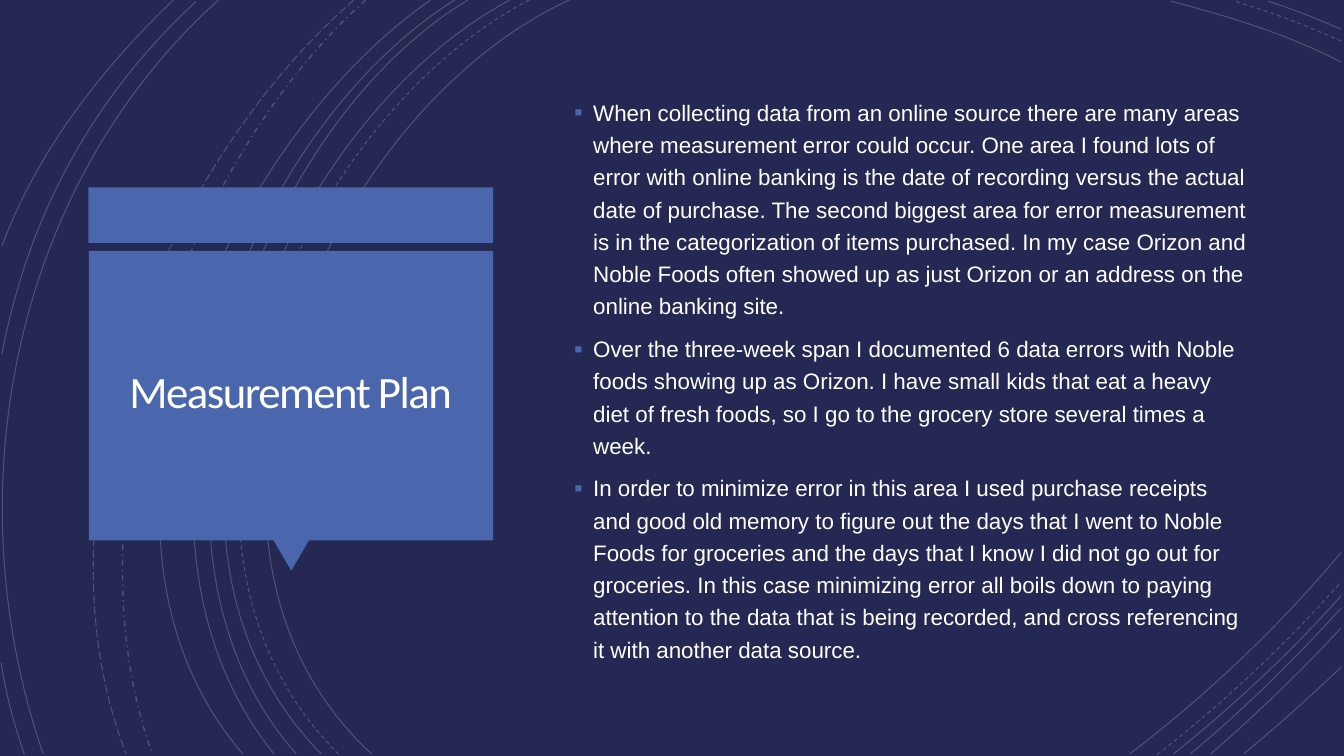
from lxml.etree import SubElement
from pptx import Presentation
from pptx.dml.color import RGBColor
from pptx.enum.dml import MSO_LINE_DASH_STYLE as Dash
from pptx.enum.shapes import MSO_SHAPE as Shape
from pptx.enum.text import MSO_ANCHOR as Anchor, PP_ALIGN as Align
from pptx.oxml.ns import qn
from pptx.util import Cm, Pt

NAVY = RGBColor(0x24, 0x28, 0x52)
BLUE = RGBColor(0x4A, 0x66, 0xAC)
WHITE = RGBColor(0xFF, 0xFF, 0xFF)
TITLE_WHITE = RGBColor(0xFF, 0xFE, 0xFF)

SOLID_ARCS = [
    [(14.35, 0), (8, 2.92), (3.63, 13.72), (9.37, 19)],
    [(33.8, 1.57), (32.46, 0.86), (30.94, 0.41), (29.51, 0.03)],
    [(28.47, 19), (30.4, 17.53), (32.23, 15.8), (33.8, 13.92)],
    [(12.85, 0), (6.86, 3.23), (2.79, 13.64), (8.1, 19)],
    [(33.8, 0.74), (33.2, 0.48), (32.59, 0.23), (31.95, 0.03)],
    [(29.57, 19), (31.06, 17.81), (32.51, 16.46), (33.8, 15.01)],
    [(11.79, 0), (6.2, 3.38), (2.79, 13.74), (7.47, 19)],
    [(30, 19), (31.34, 17.88), (32.61, 16.64), (33.8, 15.32)],
    [(11.46, 0), (5.87, 3.51), (2.46, 13.54), (6.91, 19)],
    [(30.51, 19), (31.65, 18.01), (32.77, 16.94), (33.8, 15.82)],
    [(10.85, 0), (5.51, 3.73), (1.35, 13.44), (6.12, 19)],
    [(31.34, 19), (32.18, 18.31), (32.99, 17.58), (33.8, 16.81)],
    [(5.51, 0), (0.28, 4.7), (-1.17, 12.45), (1.09, 19)],
    [(4.95, 0.03), (2.34, 2.44), (0.71, 5.44), (0.05, 8.92)],
    [(0.03, 16.71), (0.15, 17.5), (0.36, 18.26), (0.61, 19)],
    [(4.37, 0), (2.54, 1.75), (0.94, 3.81), (0.05, 6.2)],
]
DASHED_ARCS = [
    [(13.34, 0), (7.24, 3.18), (3.12, 13.64), (8.53, 19)],
    [(33.8, 1.04), (32.94, 0.64), (32, 0.3), (31.12, 0.03)],
    [(29.16, 19.02), (30.81, 17.73), (32.39, 16.26), (33.8, 14.66)],
]
DASH_DOT_ARCS = [[(9.22, 0), (4.47, 4.22), (1.65, 12.93), (3.84, 19)]]
LONG_DASH_ARCS = [[(8.92, 0), (3.99, 4.29), (0.74, 12.67), (3.18, 19)]]

ARC_STYLES = [
    (SOLID_ARCS, Dash.SOLID, 0.75),
    (DASHED_ARCS, Dash.DASH, 0.75),
    (DASH_DOT_ARCS, Dash.DASH_DOT, 1),
    (LONG_DASH_ARCS, Dash.LONG_DASH, 0.75),
]

BULLETS = [
    "When collecting data from an online source there are many areas where "
    "measurement error could occur. One area I found lots of error with online "
    "banking is the date of recording versus the actual date of purchase. The "
    "second biggest area for error measurement is in the categorization of items "
    "purchased. In my case Orizon and Noble Foods often showed up as just Orizon "
    "or an address on the online banking site.",
    "Over the three-week span I documented 6 data errors with Noble foods showing "
    "up as Orizon. I have small kids that eat a heavy diet of fresh foods, so I go "
    "to the grocery store several times a week.",
    "In order to minimize error in this area I used purchase receipts and good old "
    "memory to figure out the days that I went to Noble Foods for groceries and "
    "the days that I know I did not go out for groceries. In this case minimizing "
    "error all boils down to paying attention to the data that is being recorded, "
    "and cross referencing it with another data source.",
]


class SlideBuilder:
    """Draws styled arcs, blocks and text on one slide."""

    def __init__(self, slide):
        self.slide = slide
        self.shapes = slide.shapes
        slide.background.fill.solid()
        slide.background.fill.fore_color.rgb = NAVY

    def arc(self, points, dash, width):
        start, *others = [(Cm(x), Cm(y)) for x, y in points]
        builder = self.shapes.build_freeform(*start)
        builder.add_line_segments(others, close=False)
        shape = builder.convert_to_shape()
        shape.shadow.inherit = False
        shape.fill.background()
        shape.line.color.rgb = WHITE
        shape.line.width = Pt(width)
        shape.line.dash_style = dash
        color = next(shape.line._ln.iter(qn("a:srgbClr")))
        SubElement(color, qn("a:alpha"), val="20000")
        segments = list(shape._element.iter(qn("a:lnTo")))
        curve = SubElement(segments[0].getparent(), qn("a:cubicBezTo"))
        for segment in segments:
            curve.append(segment[0])
            segment.getparent().remove(segment)

    def block(self, kind, left, top, width, height, rotation=0):
        shape = self.shapes.add_shape(kind, Cm(left), Cm(top), Cm(width), Cm(height))
        shape.shadow.inherit = False
        shape.fill.solid()
        shape.fill.fore_color.rgb = BLUE
        shape.line.fill.background()
        shape.rotation = rotation

    def text_frame(self, left, top, width, height):
        box = self.shapes.add_textbox(Cm(left), Cm(top), Cm(width), Cm(height))
        frame = box.text_frame
        frame.word_wrap = True
        frame.vertical_anchor = Anchor.MIDDLE
        return frame

    def run(self, paragraph, text, font, size, color):
        run = paragraph.add_run()
        run.text = text
        run.font.name = font
        run.font.size = Pt(size)
        run.font.color.rgb = color
        return run

    def title(self, text, left, top, width, height):
        frame = self.text_frame(left, top, width, height)
        frame.margin_left = frame.margin_right = Cm(0.64)
        frame.margin_top = frame.margin_bottom = Cm(0.64)
        paragraph = frame.paragraphs[0]
        paragraph.alignment = Align.CENTER
        paragraph.line_spacing = 0.85
        run = self.run(paragraph, text, "Calibri", 32, TITLE_WHITE)
        run.font._element.set("spc", "-110")

    def bullets(self, texts, left, top, width, height):
        frame = self.text_frame(left, top, width, height)
        for index, text in enumerate(texts):
            paragraph = frame.add_paragraph() if index else frame.paragraphs[0]
            paragraph.line_spacing = 1.2
            paragraph.space_before = Pt(7.5 if index else 0)
            properties = paragraph._p.get_or_add_pPr()
            properties.set("marL", str(Cm(0.48)))
            properties.set("indent", str(-Cm(0.48)))
            color = SubElement(properties, qn("a:buClr"))
            SubElement(color, qn("a:srgbClr"), val=str(BLUE))
            SubElement(properties, qn("a:buSzPct"), val="110000")
            SubElement(properties, qn("a:buFont"), typeface="Arial")
            SubElement(properties, qn("a:buChar"), char="▪")
            self.run(paragraph, text, "Arial", 16, WHITE)


def main():
    presentation = Presentation()
    presentation.slide_width = Cm(33.87)
    presentation.slide_height = Cm(19.05)
    builder = SlideBuilder(presentation.slides.add_slide(presentation.slide_layouts[6]))
    for arcs, dash, width in ARC_STYLES:
        for points in arcs:
            builder.arc(points, dash, width)
    builder.block(Shape.RECTANGLE, 2.23, 4.72, 10.2, 1.4)
    builder.block(Shape.ISOSCELES_TRIANGLE, 6.89, 13.61, 0.9, 0.77, 180)
    builder.block(Shape.RECTANGLE, 2.24, 6.32, 10.19, 7.3)
    builder.title("Measurement Plan", 2.46, 6.53, 9.73, 6.83)
    builder.bullets(BULLETS, 14.22, 2.24, 17.45, 14.58)
    presentation.save("out.pptx")


if __name__ == "__main__":
    main()
